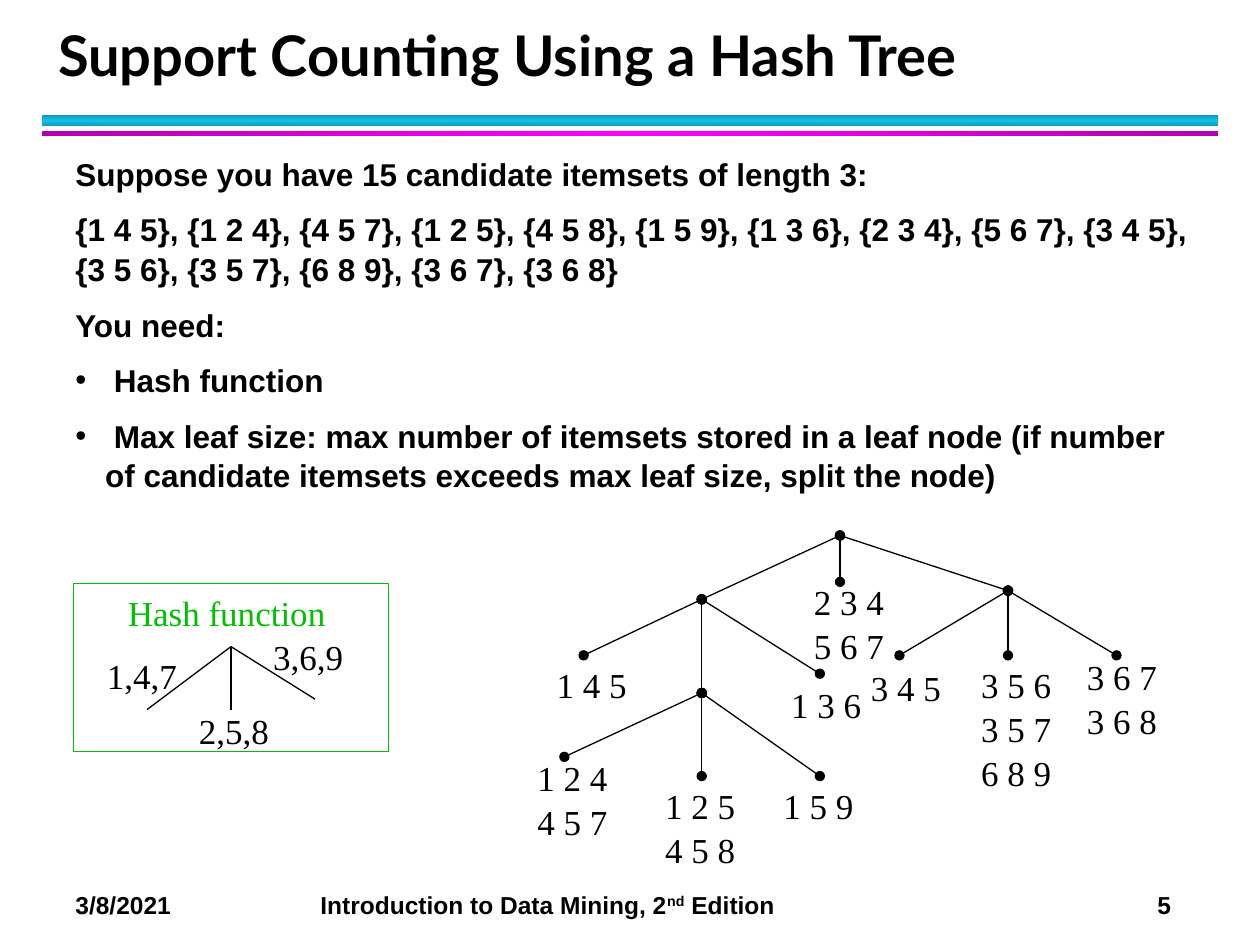
from copy import deepcopy
from pptx import Presentation
from pptx.dml.color import RGBColor
from pptx.enum import shapes, text
from pptx.oxml.ns import qn
from pptx.util import Pt
from lxml import etree

HUES = {"ink": "000000", "green": "00C000", "cyan": "12C2E9", "teal": "0E9BBA",
        "pink": "FF00FF", "plum": "B200B2"}

NODES = {"root": (480, 306), "left": (401, 342.5), "mid": (480, 332.5),
         "right": (576, 337.5), "145": (333.5, 374.5), "low": (401, 396),
         "136": (468.5, 385), "124": (322.5, 432.5), "125": (401, 443.5),
         "159": (468.5, 443.5), "345": (514, 374.5), "356": (576, 374.5),
         "367": (638, 374.5)}
TREE = {"root": ["left", "right", "mid"], "left": ["145", "low", "136"],
        "low": ["124", "125", "159"], "right": ["345", "356", "367"]}
LEAVES = [("2 3 4\n5 6 7", 458, 327), ("1 4 5", 311, 374.5), ("1 3 6", 445, 386),
          ("1 2 4\n4 5 7", 300, 427.5), ("1 2 5\n4 5 8", 373, 443.5),
          ("1 5 9", 440.5, 443.5), ("3 4 5", 490.5, 376),
          ("3 5 6\n3 5 7\n6 8 9", 553.5, 374.5), ("3 6 7\n3 6 8", 614, 370)]
BODY = ["Suppose you have 15 candidate itemsets of length 3:",
        "{1 4 5}, {1 2 4}, {4 5 7}, {1 2 5}, {4 5 8}, {1 5 9}, {1 3 6}, {2 3 4}, "
        "{5 6 7}, {3 4 5}, {3 5 6}, {3 5 7}, {6 8 9}, {3 6 7}, {3 6 8}",
        "You need:",
        " Hash function",
        " Max leaf size: max number of itemsets stored in a leaf node (if number of "
        "candidate itemsets exceeds max leaf size, split the node)"]


def color(name):
    return RGBColor.from_string(HUES[name])


def style(font, face, size, hue="ink", bold=False):
    font.name, font.size, font.bold = face, Pt(size), bold
    font.color.rgb = color(hue)


def place(shape, x, y, w, h):
    shape.left, shape.top, shape.width, shape.height = Pt(x), Pt(y), Pt(w), Pt(h)


def add_title(slide, words):
    title = slide.shapes.title
    place(title, 26, 12, 652, 42)
    frame = title.text_frame
    frame.text = words
    frame.auto_size = text.MSO_AUTO_SIZE.NONE
    frame.vertical_anchor = text.MSO_ANCHOR.BOTTOM
    para = frame.paragraphs[0]
    para.alignment = text.PP_ALIGN.LEFT
    para.line_spacing = Pt(36)
    style(para.runs[0].font, "Lato", 32, bold=True)


def add_bar(slide, y, h, edge, core, angle):
    bar = slide.shapes.add_shape(shapes.MSO_SHAPE.RECTANGLE,
                                 Pt(24), Pt(y), Pt(672), Pt(h))
    bar.shadow.inherit = False
    bar.line.fill.background()
    bar.fill.gradient()
    bar.fill.gradient_angle = angle
    first = bar.fill._fill._gradFill.find(qn("a:gsLst"))[0]
    first.addnext(deepcopy(first))
    for stop, hue, pos in zip(bar.fill.gradient_stops, (edge, core, edge), (0, 0.5, 1)):
        stop.color.rgb = color(hue)
        stop.position = pos


def add_box(slide, x, y, w, h, words, face, size, hue="ink", bold=False, wrap=False):
    box = slide.shapes.add_textbox(Pt(x), Pt(y), Pt(w), Pt(h))
    frame = box.text_frame
    frame.word_wrap = wrap
    frame.text = words
    for para in frame.paragraphs:
        para.line_spacing = 1.05
        for run in para.runs:
            style(run.font, face, size, hue, bold)
    return frame


def add_label(slide, words, x, y, w=54.5, hue="ink"):
    rows = words.count("\n") + 1
    add_box(slide, x, y, w, 7 + 24 * rows, words, "Times New Roman", 20, hue)


def add_edge(slide, start, end, dots=False):
    edge = slide.shapes.add_connector(shapes.MSO_CONNECTOR.STRAIGHT,
                                      *[Pt(v) for v in start + end])
    edge.line.color.rgb = color("ink")
    edge.line.width = Pt(0.75)
    if dots:
        ln = edge.line._get_or_add_ln()
        for tag in ("a:headEnd", "a:tailEnd"):
            etree.SubElement(ln, qn(tag), type="oval")
    etree.SubElement(edge._element.spPr, qn("a:effectLst"))


def add_body(slide):
    frame = add_box(slide, 36, 84, 654, 202, "\n".join(BODY), "Arial", 18,
                    bold=True, wrap=True)
    for para in frame.paragraphs[1:]:
        para.space_before = Pt(9)
    for para in frame.paragraphs[3:]:
        props = para._p.get_or_add_pPr()
        props.set("marL", str(Pt(17)))
        props.set("indent", str(-Pt(17)))
        etree.SubElement(props, qn("a:buFont"), typeface="Arial")
        etree.SubElement(props, qn("a:buChar"), char="•")


def add_footer(slide):
    frame = add_box(slide, 36, 504, 672, 24.5, "3/8/2021\tIntroduction to Data Mining, 2",
                    "Arial", 14, bold=True, wrap=True)
    para = frame.paragraphs[0]
    for words in ("nd", " Edition\t5"):
        run = para.add_run()
        run.text = words
        style(run.font, "Arial", 14, bold=True)
    para.runs[1].font._element.set("baseline", "30000")
    tabs = etree.SubElement(para._p.get_or_add_pPr(), qn("a:tabLst"))
    for pos, side in ((140, "l"), (626, "r")):
        etree.SubElement(tabs, qn("a:tab"), pos=str(Pt(pos)), algn=side)


def add_tree(slide):
    for top, kids in TREE.items():
        for kid in kids:
            add_edge(slide, NODES[top], NODES[kid], dots=True)
    for leaf in LEAVES:
        add_label(slide, *leaf)


def add_hash(slide):
    for end in ((84, 405.5), (132, 405.5), (180, 399.5)):
        add_edge(slide, (132, 369.5), end)
    for words, x, y in (("1,4,7", 54, 369.5), ("2,5,8", 106.5, 401), ("3,6,9", 149, 358.5)):
        add_label(slide, words, x, y)
    add_label(slide, "Hash function", 66, 333.5, 127.5, "green")
    frame = slide.shapes.add_shape(shapes.MSO_SHAPE.RECTANGLE,
                                   Pt(42), Pt(333.5), Pt(180), Pt(96))
    frame.shadow.inherit = False
    frame.fill.background()
    frame.line.color.rgb = color("green")
    frame.line.width = Pt(0.75)


def main():
    deck = Presentation()
    deck.slide_width, deck.slide_height = Pt(720), Pt(540)
    slide = deck.slides.add_slide(deck.slide_layouts[5])
    add_bar(slide, 66, 6, "teal", "cyan", 90)
    add_bar(slide, 75, 3, "plum", "pink", 0)
    add_footer(slide)
    add_title(slide, "Support Counting Using a Hash Tree")
    add_tree(slide)
    add_hash(slide)
    add_body(slide)
    deck.save("out.pptx")


if __name__ == "__main__":
    main()
